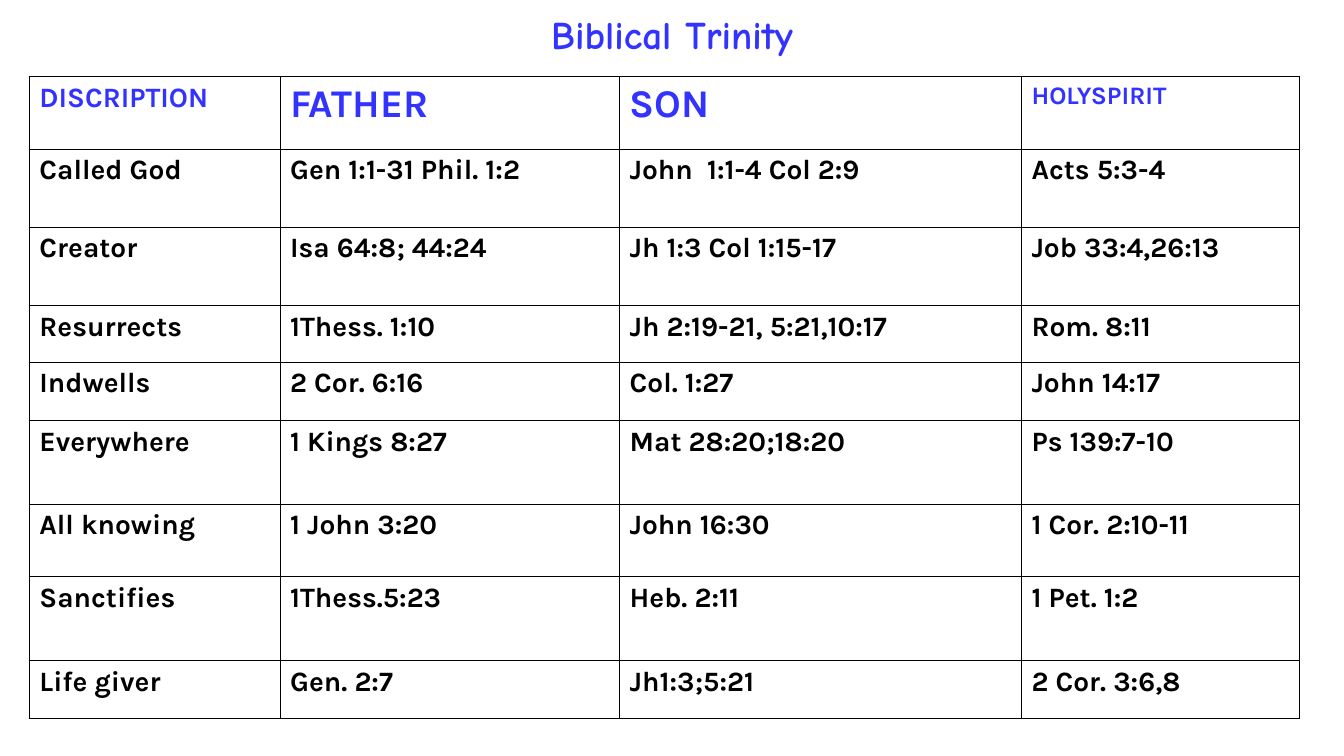
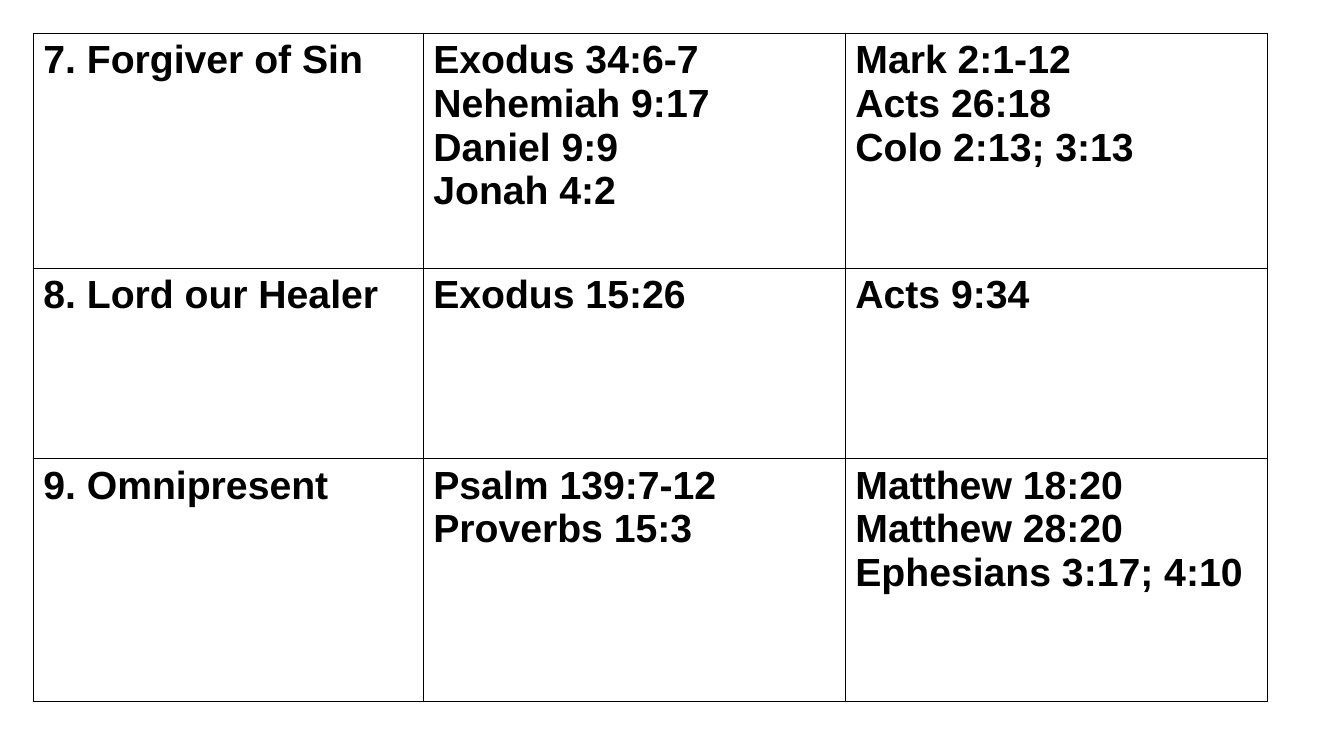
from lxml import etree
from pptx import Presentation
from pptx import util as u
from pptx.dml.color import RGBColor
from pptx.enum import text
from pptx.oxml.ns import qn

HUES = {"head": "3333FF", "ink": "000000"}
THICK, THIN = 1.08, 0.45  # outer and inner rules, in points


def style(par, face, size, hue):
    par.font.name = face
    par.font.size = u.Pt(size)
    par.font.bold = True
    par.font.color.rgb = RGBColor.from_string(HUES[hue])


def grid(slide, left, top, wides, highs, rows, face, size, heads=()):
    """Add a ruled table; heads gives the sizes of a coloured first row."""
    frame = slide.shapes.add_table(
        len(highs), len(wides), u.Cm(left), u.Cm(top),
        u.Cm(sum(wides)), u.Cm(sum(highs)))
    table = frame.table
    table.first_row = table.horz_banding = False
    for col, wide in zip(table.columns, wides):
        col.width = u.Cm(wide)
    for row, high in zip(table.rows, highs):
        row.height = u.Cm(high)

    for r, row in enumerate(rows):
        for c, words in enumerate(row):
            cell = table.cell(r, c)
            par = cell.text_frame.paragraphs[0]
            par.text = words.replace("\n", "\v")
            if heads and r == 0:
                style(par, face, heads[c], "head")
            else:
                style(par, face, size, "ink")

            # Cell rules: thick on the rim of the table, thin inside
            rim = {"lnL": c == 0, "lnR": c == len(wides) - 1,
                   "lnT": r == 0, "lnB": r == len(highs) - 1}
            props = cell._tc.get_or_add_tcPr()
            for side, edge in rim.items():
                line = etree.SubElement(props, qn("a:" + side))
                line.set("w", str(int(u.Pt(THICK if edge else THIN))))
                fill = etree.SubElement(line, qn("a:solidFill"))
                etree.SubElement(fill, qn("a:srgbClr")).set("val", HUES["ink"])
            cell.fill.background()


deck = Presentation()
deck.slide_width, deck.slide_height = u.Cm(33.88), u.Cm(19.05)
blank = deck.slide_layouts[6]

# Slide 1: title
slide = deck.slides.add_slide(blank)
box = slide.shapes.add_textbox(u.Cm(5.51), u.Cm(-0.38), u.Cm(22.86), u.Cm(2.49))
frame = box.text_frame
frame.word_wrap = True
frame.vertical_anchor = text.MSO_ANCHOR.MIDDLE
title = frame.paragraphs[0]
title.text = "Biblical Trinity"
title.alignment = text.PP_ALIGN.CENTER
style(title, "Comic Neue", 28, "head")

# Slide 1: verses for each person
verses = [
    ("DISCRIPTION", "FATHER", "SON", "HOLYSPIRIT"),
    ("Called God", "Gen 1:1-31 Phil. 1:2", "John  1:1-4 Col 2:9", "Acts 5:3-4"),
    ("Creator", "Isa 64:8; 44:24", "Jh 1:3 Col 1:15-17", "Job 33:4,26:13"),
    ("Resurrects", "1Thess. 1:10", "Jh 2:19-21, 5:21,10:17", "Rom. 8:11"),
    ("Indwells", "2 Cor. 6:16", "Col. 1:27", "John 14:17"),
    ("Everywhere", "1 Kings 8:27", "Mat 28:20;18:20", "Ps 139:7-10"),
    ("All knowing", "1 John 3:20", "John 16:30", "1 Cor. 2:10-11"),
    ("Sanctifies", "1Thess.5:23", "Heb. 2:11", "1 Pet. 1:2"),
    ("Life giver", "Gen. 2:7", "Jh1:3;5:21", "2 Cor. 3:6,8"),
]
grid(slide, 0.74, 1.93, [6.32, 8.56, 10.13, 7.01],
     [1.83, 1.96, 1.98, 1.42, 1.47, 2.11, 1.83, 2.11, 1.47],
     verses, "Karla", 20, heads=(20, 28, 28, 18))

# Slide 2: shared traits
slide = deck.slides.add_slide(blank)
traits = [
    ("7. Forgiver of Sin",
     "Exodus 34:6-7\nNehemiah 9:17\nDaniel 9:9\nJonah 4:2",
     "Mark 2:1-12\nActs 26:18\nColo 2:13; 3:13"),
    ("8. Lord our Healer", "Exodus 15:26", "Acts 9:34"),
    ("9. Omnipresent",
     "Psalm 139:7-12\nProverbs 15:3",
     "Matthew 18:20\nMatthew 28:20\nEphesians 3:17; 4:10"),
]
grid(slide, 0.84, 0.84, [9.83, 10.64, 10.64], [5.92, 4.8, 6.12],
     traits, "Arial", 28)

deck.save("out.pptx")
